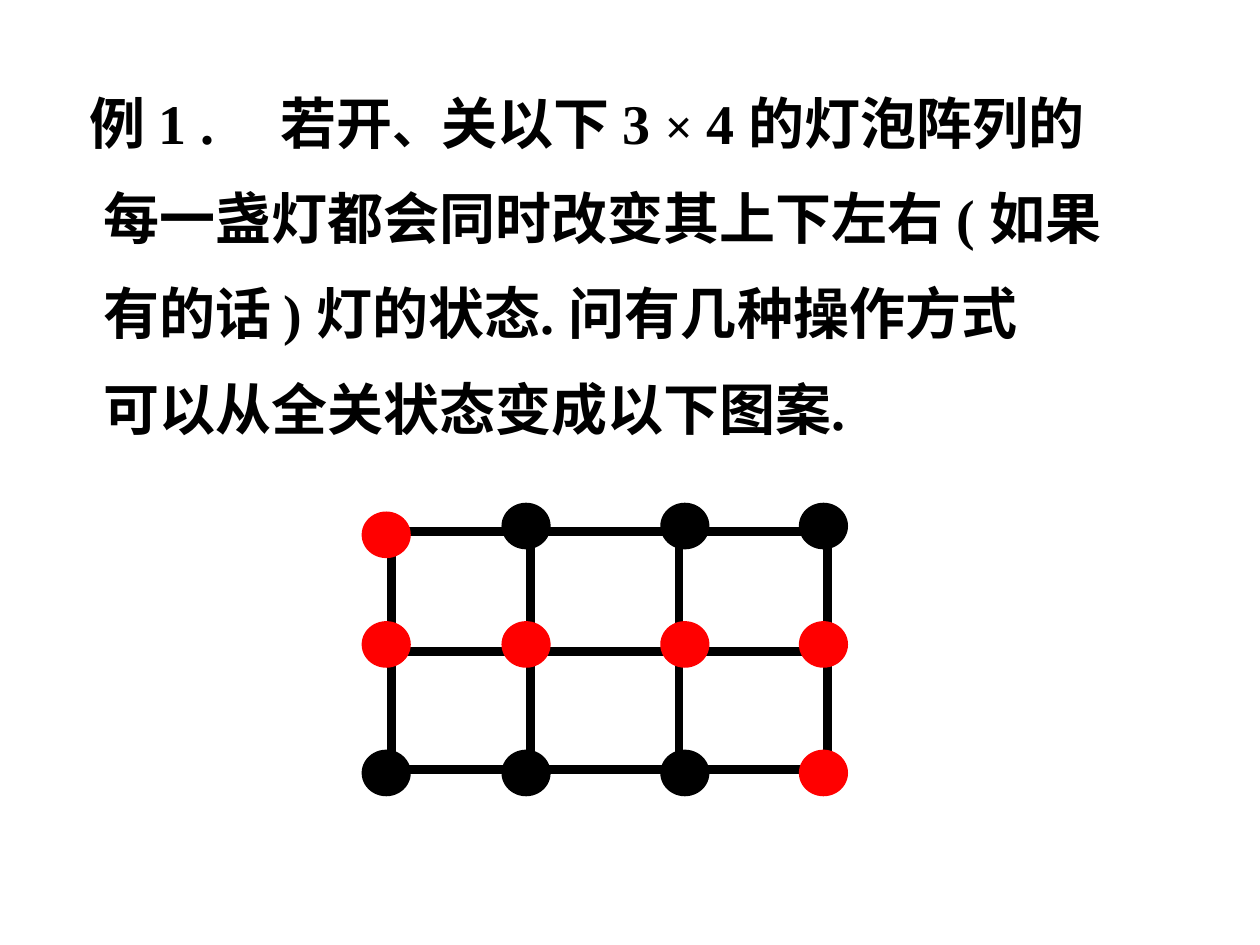
"""Build a slide posing a puzzle about a 3 × 4 array of lamps."""
from dataclasses import dataclass

import lxml.etree
import pptx
import pptx.dml.color
import pptx.enum.shapes
import pptx.oxml.ns
import pptx.util

Inches = pptx.util.Inches
Pt = pptx.util.Pt
qn = pptx.oxml.ns.qn

BLACK = pptx.dml.color.RGBColor(0x00, 0x00, 0x00)
RED = pptx.dml.color.RGBColor(0xFF, 0x00, 0x00)
SERIF = "Times New Roman"
SANS = "Arial"


@dataclass(frozen=True)
class Span:
    text: str
    font: str = SERIF
    size: int = 32


@dataclass(frozen=True)
class Wire:
    x1: float
    y1: float
    x2: float
    y2: float


@dataclass(frozen=True)
class Lamp:
    left: float
    top: float
    color: pptx.dml.color.RGBColor


PROBLEM = [
    [
        Span("例 ", SANS),
        Span("1 .\t若开"),
        Span("、", SANS, 28),
        Span("关以下 3 "),
        Span("×", size=28),
        Span(" 4 的灯泡阵列的"),
    ],
    [Span("每一盏灯都会同时改变其上下左右 ( 如果")],
    [Span("有的话 ) 灯的状态. 问有几种操作方式")],
    [Span("可以从全关状态变成以下图案.")],
]
HANGING = 0.11
TITLE_TAB = 1.52

ROW_WIRES = [(4.22, 6.57), (5.17, 6.65), (6.11, 6.65)]
COLUMN_WIRES = [3.11, 4.21, 5.39, 6.57]
WIRES = [Wire(3.11, y, end, y) for y, end in ROW_WIRES]
WIRES += [Wire(x, 4.14, x, 6.19) for x in COLUMN_WIRES]

LAMP_LEFTS = [2.87, 3.98, 5.24, 6.34]
LAMP_TOPS = [3.99, 4.93, 5.95]
PATTERN = ["RKKK", "RRRR", "KKKR"]
LAMP_COLORS = {"R": RED, "K": BLACK}
FIRST_LAMP_DROP = 0.07
LAMPS = [
    Lamp(left, top + (FIRST_LAMP_DROP if row == col == 0 else 0), LAMP_COLORS[PATTERN[row][col]])
    for row, top in enumerate(LAMP_TOPS)
    for col, left in enumerate(LAMP_LEFTS)
]


def add_problem(s: pptx.slide.Slide) -> None:
    tf = s.shapes.add_textbox(Inches(0.61), Inches(0.52), Inches(8.89), Inches(3.2)).text_frame
    tf.word_wrap = True
    for i, spans in enumerate(PROBLEM):
        p = tf.paragraphs[0] if i == 0 else tf.add_paragraph()
        p.line_spacing = 1.25
        pPr = p._p.get_or_add_pPr()
        if i == 0:
            tabs = lxml.etree.SubElement(pPr, qn("a:tabLst"))
            lxml.etree.SubElement(tabs, qn("a:tab"), pos=str(Inches(TITLE_TAB)), algn="l")
        else:
            p.space_before = Pt(6.4)
            pPr.set("marL", str(Inches(HANGING)))
        for span in spans:
            r = p.add_run()
            r.text = span.text
            r.font.name = span.font
            r.font.size = Pt(span.size)
            r.font.bold = True
            r.font.color.rgb = BLACK


def add_wire(s: pptx.slide.Slide, wire: Wire) -> None:
    cxn = s.shapes.add_connector(
        pptx.enum.shapes.MSO_CONNECTOR.STRAIGHT,
        Inches(wire.x1), Inches(wire.y1), Inches(wire.x2), Inches(wire.y2),
    )
    cxn.line.color.rgb = BLACK
    cxn.line.width = Pt(5)
    lxml.etree.SubElement(cxn._element.spPr, qn("a:effectLst"))


def add_lamp(s: pptx.slide.Slide, lamp: Lamp) -> None:
    sp = s.shapes.add_shape(
        pptx.enum.shapes.MSO_SHAPE.OVAL,
        Inches(lamp.left), Inches(lamp.top), Inches(0.39), Inches(0.37),
    )
    sp.shadow.inherit = False
    sp.fill.solid()
    sp.fill.fore_color.rgb = lamp.color
    sp.line.fill.background()


def main() -> None:
    prs = pptx.Presentation()
    prs.slide_width = Inches(10)
    prs.slide_height = Inches(7.5)
    s = prs.slides.add_slide(prs.slide_layouts[6])
    add_problem(s)
    for wire in WIRES:
        add_wire(s, wire)
    for lamp in LAMPS:
        add_lamp(s, lamp)
    prs.save("out.pptx")


if __name__ == "__main__":
    main()
